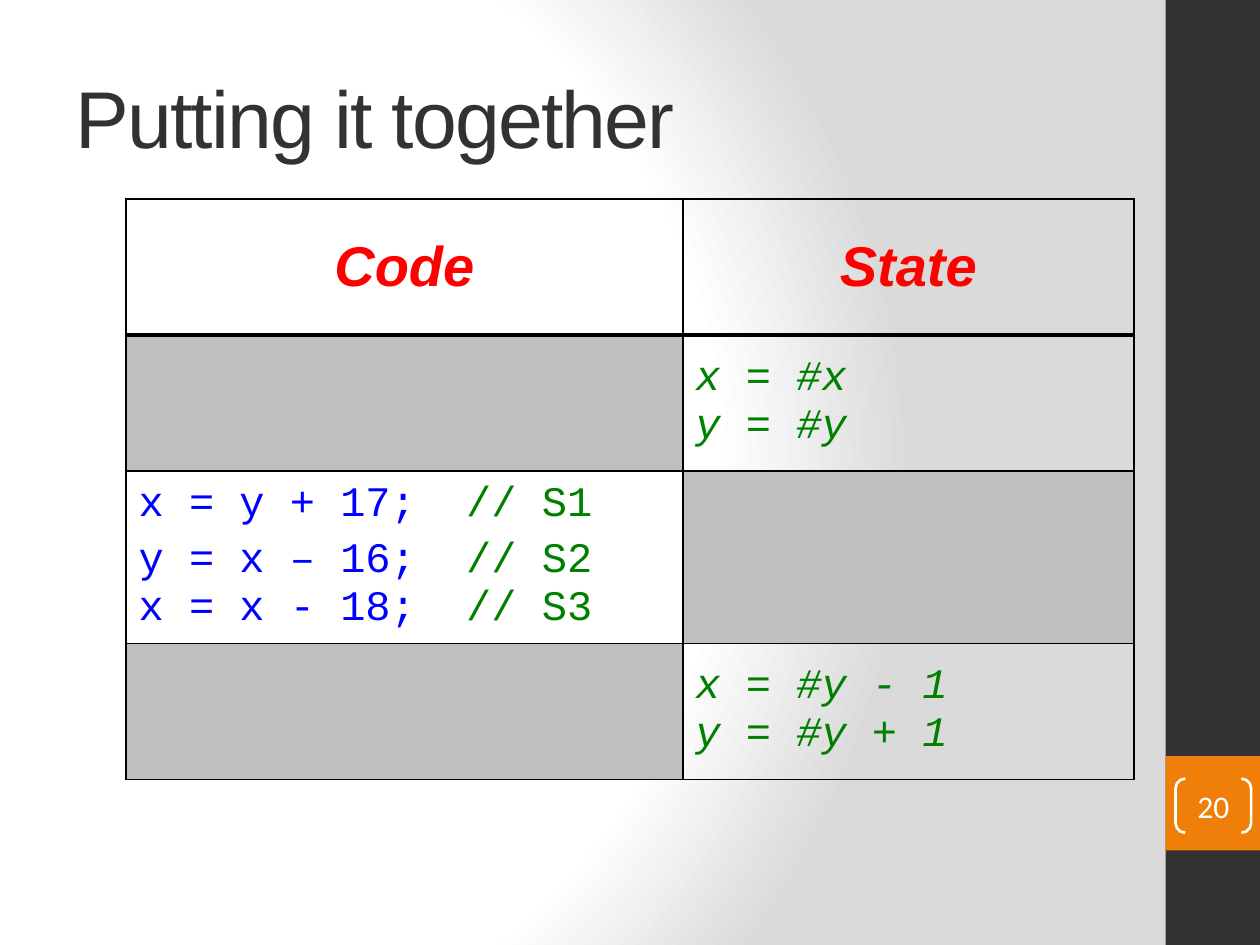
from lxml import etree
from pptx import Presentation
from pptx import util as u
from pptx.dml.color import RGBColor
from pptx.enum import shapes, text
from pptx.oxml import parse_xml
from pptx.oxml.ns import nsdecls, qn

DARK, ORANGE, WHITE, GRAY = "323232", "F07F09", "FFFFFF", "BFBFBF"
RED, BLUE, GREEN, BLACK = "FF0000", "0000FF", "008000", "000000"

HEADING = dict(name="Arial", size=u.Pt(32), bold=True, italic=True, color=RED)
CODE = dict(name="Courier New", size=u.Pt(24), bold=False, italic=False, color=BLUE)
COMMENT = {**CODE, "color": GREEN}
STATE = {**COMMENT, "italic": True}


def rgb(hex_color):
    return RGBColor.from_string(hex_color)


def set_font(font, style):
    for key, value in style.items():
        if key == "color":
            font.color.rgb = rgb(value)
        else:
            setattr(font, key, value)


class SlideBuilder:
    def __init__(self, slide):
        self.slide = slide

    def background(self, stops, focus):
        """Radial gradient; stops are (percent, colour), focus is l, t, r, b in percent."""
        self.slide.background.fill.solid()
        props = self.slide.element.find(".//" + qn("p:bgPr"))
        gradient = parse_xml(f'<a:gradFill {nsdecls("a")} rotWithShape="1"><a:gsLst/></a:gradFill>')
        for percent, color in stops:
            stop = etree.SubElement(gradient[0], qn("a:gs"), pos=str(percent * 1000))
            etree.SubElement(stop, qn("a:srgbClr"), val=color)
        circle = etree.SubElement(gradient, qn("a:path"), {"path": "circle"})
        etree.SubElement(circle, qn("a:fillToRect"),
                         {side: str(v * 1000) for side, v in zip("ltrb", focus)})
        props.replace(props[0], gradient)

    def add_parts(self, paragraph, parts):
        """Add (text, style) parts; a newline becomes a line break."""
        for words, style in parts:
            for i, line in enumerate(words.split("\n")):
                if i:
                    paragraph.add_line_break()
                if line:
                    run = paragraph.add_run()
                    run.text = line
                    set_font(run.font, style)

    def block(self, box, color):
        block = self.slide.shapes.add_shape(shapes.MSO_SHAPE.RECTANGLE, *map(u.Inches, box))
        block.shadow.inherit = False
        block.fill.solid()
        block.fill.fore_color.rgb = rgb(color)
        block.line.fill.background()

    def title(self, box, words, style, spacing):
        frame = self.slide.shapes.add_textbox(*map(u.Inches, box)).text_frame
        frame.word_wrap = True
        frame.vertical_anchor = text.MSO_ANCHOR.MIDDLE
        self.add_parts(frame.paragraphs[0], [(words, style)])
        frame.paragraphs[0].runs[0].font._element.set("spc", str(spacing * 100))

    def page_number(self, box, number, style):
        bracket = self.slide.shapes.add_shape(shapes.MSO_SHAPE.DOUBLE_BRACKET, *map(u.Inches, box))
        bracket.shadow.inherit = False
        bracket.adjustments[0] = 0.18
        bracket.fill.background()
        bracket.line.color.rgb = rgb(WHITE)
        bracket.line.width = u.Pt(1.5)
        frame = bracket.text_frame
        for side in ("left", "top", "right", "bottom"):
            setattr(frame, f"margin_{side}", 0)
        frame.vertical_anchor = text.MSO_ANCHOR.MIDDLE
        frame.paragraphs[0].alignment = text.PP_ALIGN.CENTER
        self.add_parts(frame.paragraphs[0], [(number, style)])

    def borders(self, cell, widths):
        """Draw black borders; widths in points map L, R, T and B in that order."""
        props = cell._tc.get_or_add_tcPr()
        for i, (side, points) in enumerate(widths.items()):
            props.insert(i, parse_xml(
                f'<a:ln{side} {nsdecls("a")} w="{u.Pt(points)}"><a:solidFill>'
                f'<a:srgbClr val="{BLACK}"/></a:solidFill></a:ln{side}>'))

    def table(self, box, widths, row_height, rows):
        """Each cell is a list of paragraphs, or None for a gray cell; row one is the header."""
        table = self.slide.shapes.add_table(len(rows), len(widths), *map(u.Inches, box)).table
        table.first_row = table.horz_banding = False
        for column, width in zip(table.columns, widths):
            column.width = u.Inches(width)
        for r, row in enumerate(rows):
            table.rows[r].height = u.Inches(row_height)
            for c, paragraphs in enumerate(row):
                cell = table.cell(r, c)
                cell.vertical_anchor = text.MSO_ANCHOR.MIDDLE
                if paragraphs is None:
                    cell.fill.solid()
                    cell.fill.fore_color.rgb = rgb(GRAY)
                else:
                    cell.fill.background()
                self.borders(cell, dict(L=1, R=1, T=3 if r == 1 else 1, B=3 if r == 0 else 1))
                frame = cell.text_frame
                for i, parts in enumerate(paragraphs or []):
                    paragraph = frame.add_paragraph() if i else frame.paragraphs[0]
                    if i:
                        paragraph.space_before = u.Pt(4.8)
                    if r == 0:
                        paragraph.alignment = text.PP_ALIGN.CENTER
                    self.add_parts(paragraph, parts)


def main():
    deck = Presentation()
    deck.slide_width, deck.slide_height = u.Inches(10), u.Inches(7.5)
    page = SlideBuilder(deck.slides.add_slide(deck.slide_layouts[6]))

    page.background([(0, WHITE), (75, WHITE), (100, "DADADA")], (20, 50, 100, 50))
    page.block((9.25, 0, 0.75, 7.5), DARK)
    page.block((9.25, 6, 0.75, 0.75), ORANGE)
    page.title((0.5, 0.3, 8.33, 1.25), "Putting it together",
               dict(name="Arial", size=u.Pt(46), color=DARK), spacing=-1)

    statements = [
        [("x = y + 17;  ", CODE), ("// S1", COMMENT)],
        [("y = x – 16;  ", CODE), ("// S2\n", COMMENT),
         ("x = x - 18;  ", CODE), ("// S3", COMMENT)],
    ]
    page.table((1, 1.58, 8, 4.63), (4.42, 3.58), 1.08, [
        [[[("Code", HEADING)]], [[("State", HEADING)]]],
        [None, [[("x = #x\ny = #y", STATE)]]],
        [statements, None],
        [None, [[("x = #y - 1\ny = #y + 1", STATE)]]],
    ])
    page.page_number((9.33, 6.18, 0.6, 0.43), "20",
                     dict(name="Calibri", size=u.Pt(18), color=WHITE))
    deck.save("out.pptx")


if __name__ == "__main__":
    main()
